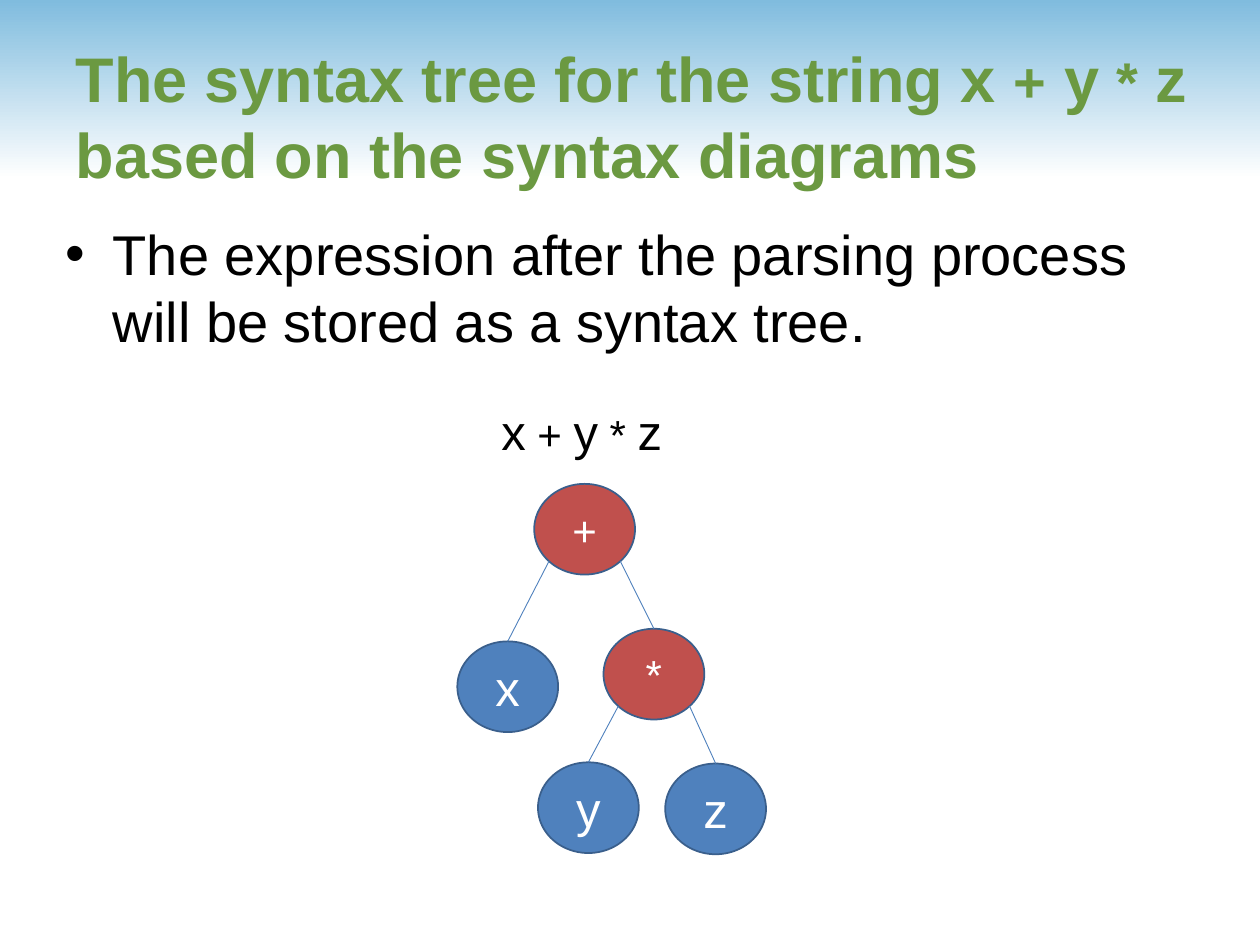
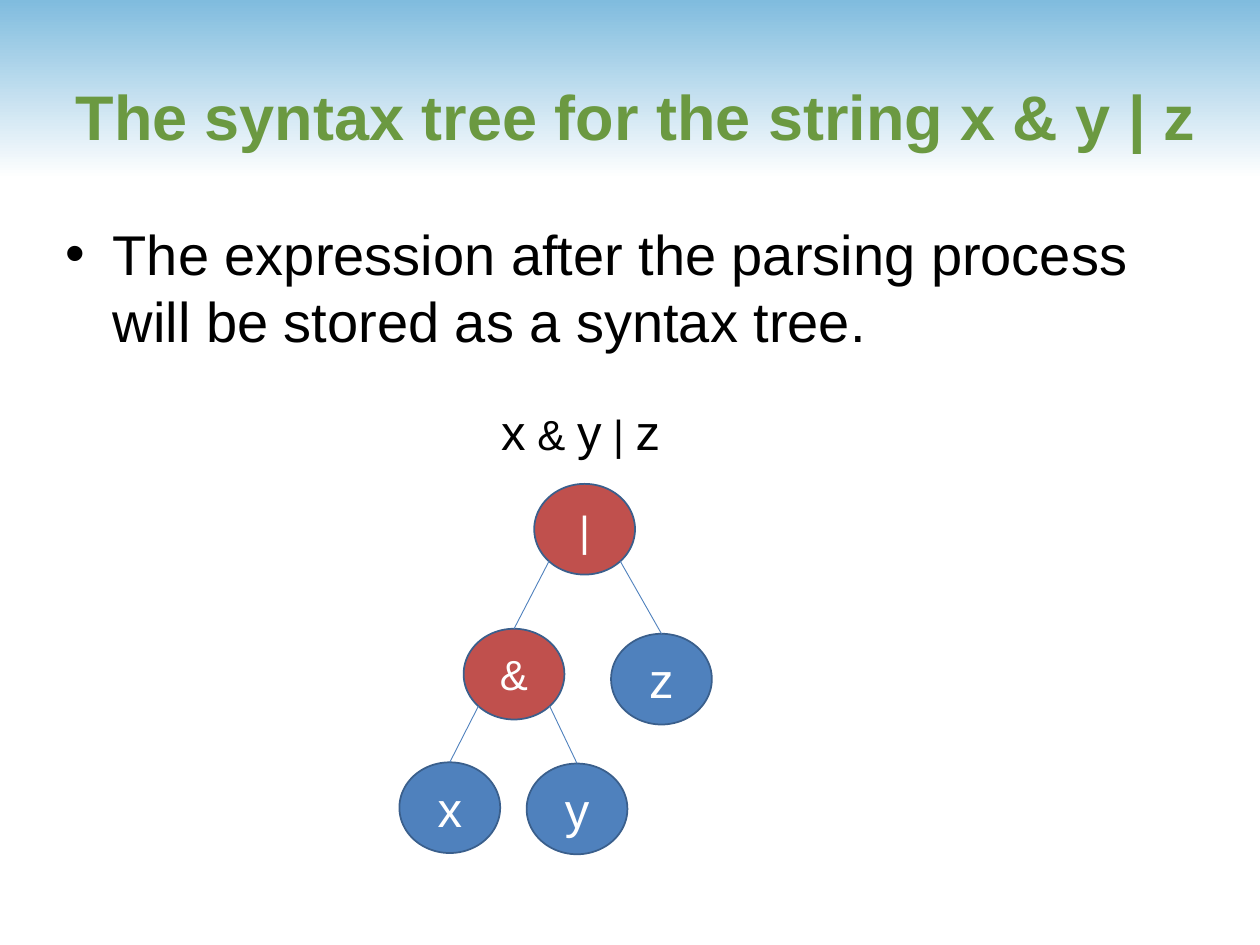
from dataclasses import dataclass
from math import sqrt

from lxml.etree import SubElement
from pptx import Presentation
from pptx.dml.color import RGBColor
from pptx.enum.shapes import MSO_CONNECTOR, MSO_SHAPE
from pptx.enum.text import MSO_ANCHOR, MSO_AUTO_SIZE, PP_ALIGN
from pptx.oxml.ns import qn
from pptx.util import Emu, Pt

BODY = "The expression after the parsing process will be stored as a syntax tree."

# Runs are (text, size name); nodes are label: (left, top) in px.
SLIDES = [
    {
        "title": [("The syntax tree for the string x ", "title"), ("+", "title_op"),
                  (" y ", "title"), ("*", "title_op"),
                  (" z based on the syntax diagrams", "title")],
        "title_width": 908,
        "expression": ["x", " + ", "y", " * ", "z"],
        "expression_width": 149,
        "nodes": {"*": (479, 499), "+": (424, 384), "z": (528, 606),
                  "x": (363, 509), "y": (427, 605)},
        "children": {"+": ("x", "*"), "*": ("y", "z")},
    },
    {
        "title": [("The syntax tree for the string x & y | z", "title")],
        "title_width": 924,
        "expression": ["x", " & ", "y", " | ", "z"],
        "expression_width": 147,
        "nodes": {"&": (368, 499), "|": (424, 384), "y": (418, 606),
                  "z": (485, 503), "x": (317, 605)},
        "children": {"|": ("&", "z"), "&": ("x", "y")},
    },
]


@dataclass(frozen=True)
class Theme:
    font: str = "Arial"
    title: str = "6B9941"
    text: str = "000000"
    node_text: str = "FFFFFF"
    operator: str = "C0504D"
    operand: str = "4F81BD"
    outline: str = "3A5F8C"
    band: tuple = ("80BCDE", "FFFFFF")
    sizes = {"title": 36, "title_op": 32, "body": 32, "operand": 28, "operator": 24}


THEME = Theme()
PX = 9144  # 100 px to the inch
SLIDE_W, SLIDE_H = 1000, 750
BAND_H = 142
NODE_W, NODE_H = 80, 72


def px(*values):
    return [Emu(round(v * PX)) for v in values]


def rgb(value):
    return RGBColor.from_string(value)


def place(shape, *box):
    shape.left, shape.top, shape.width, shape.height = px(*box)


def add_run(p, text, size, color, bold=False):
    r = p.add_run()
    r.text = text
    r.font.name = THEME.font
    r.font.size = Pt(THEME.sizes[size])
    r.font.color.rgb = rgb(color)
    r.font.bold = bold


def add_band(prs, s):
    """Draw the gradient band and move it to the back of the slide master."""
    band = s.shapes.add_shape(MSO_SHAPE.PENTAGON, *px(0, 0, SLIDE_W, BAND_H))
    band.adjustments[0] = 0
    band.shadow.inherit = False
    band.line.fill.background()
    band.fill.gradient()
    band.fill.gradient_angle = 270
    for i, (stop, color) in enumerate(zip(band.fill.gradient_stops, THEME.band)):
        stop.color.rgb = rgb(color)
        stop.position = i
    band.element.nvSpPr.cNvPr.set("id", "100")
    prs.slide_master.shapes.element.insert(2, band.element)


def add_title(s, runs, width):
    title = s.shapes.title
    place(title, 50, 29, width, 125)
    tf = title.text_frame
    tf.auto_size = MSO_AUTO_SIZE.NONE
    tf.vertical_anchor = MSO_ANCHOR.MIDDLE
    p = tf.paragraphs[0]
    p.alignment = PP_ALIGN.LEFT
    for text, size in runs:
        add_run(p, text, size, THEME.title, bold=True)


def add_body(s):
    body = s.placeholders[1]
    place(body, 42, 169, 917, 492)
    body.text_frame.auto_size = MSO_AUTO_SIZE.NONE
    add_run(body.text_frame.paragraphs[0], BODY, "body", THEME.text)


def add_expression(s, tokens, width):
    tf = s.shapes.add_textbox(*px(388, 314, width, 57)).text_frame
    tf.word_wrap = False
    tf.auto_size = MSO_AUTO_SIZE.SHAPE_TO_FIT_TEXT
    for i, token in enumerate(tokens):
        add_run(tf.paragraphs[0], token, "operator" if i % 2 else "operand", THEME.text)


def add_node(s, label, left, top, kind):
    node = s.shapes.add_shape(MSO_SHAPE.OVAL, *px(left, top, NODE_W, NODE_H))
    node.shadow.inherit = False
    node.fill.solid()
    node.fill.fore_color.rgb = rgb(getattr(THEME, kind))
    node.line.color.rgb = rgb(THEME.outline)
    node.line.width = Pt(1)
    tf = node.text_frame
    tf.vertical_anchor = MSO_ANCHOR.MIDDLE
    p = tf.paragraphs[0]
    p.alignment = PP_ALIGN.CENTER
    add_run(p, label, kind, THEME.node_text)
    return node


def add_branch(s, parent, child, side):
    """Join the parent's lower diagonal point (side -1 left, 1 right) to the child's top."""
    x = round(parent.left + parent.width / 2 * (1 + side / sqrt(2)))
    y = round(parent.top + parent.height / 2 * (1 + 1 / sqrt(2)))
    line = s.shapes.add_connector(MSO_CONNECTOR.STRAIGHT, x, y, x, y)
    line.end_connect(child, 0)
    line.line.color.rgb = rgb(THEME.operand)
    line.line.width = Pt(0.5)
    SubElement(line.element.spPr, qn("a:effectLst"))


def add_tree(s, positions, children):
    nodes = {label: add_node(s, label, *at, "operator" if label in children else "operand")
             for label, at in positions.items()}
    for parent, pair in children.items():
        for child, side in zip(pair, (-1, 1)):
            add_branch(s, nodes[parent], nodes[child], side)


def main():
    prs = Presentation()
    prs.slide_width, prs.slide_height = px(SLIDE_W, SLIDE_H)
    for i, content in enumerate(SLIDES):
        s = prs.slides.add_slide(prs.slide_layouts[1])
        if i == 0:
            add_band(prs, s)
        add_title(s, content["title"], content["title_width"])
        add_body(s)
        add_expression(s, content["expression"], content["expression_width"])
        add_tree(s, content["nodes"], content["children"])
    prs.save("out.pptx")


if __name__ == "__main__":
    main()
